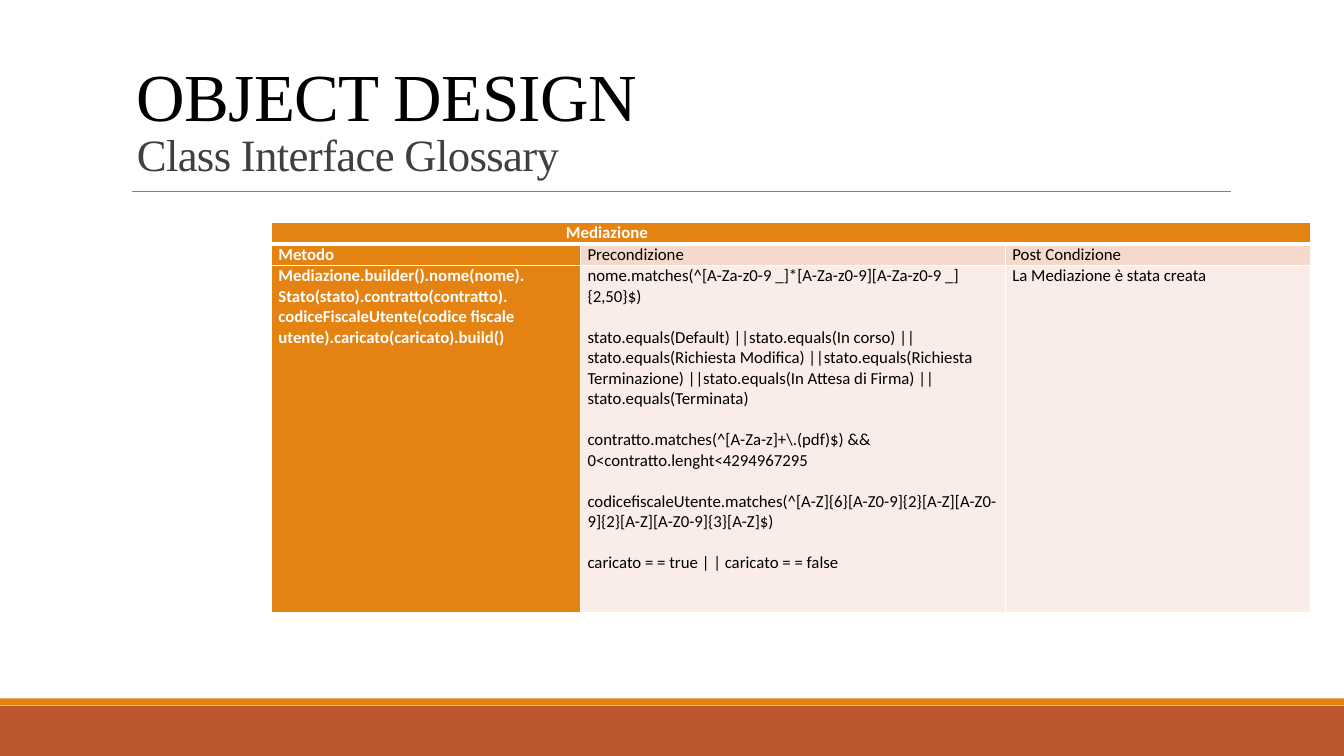
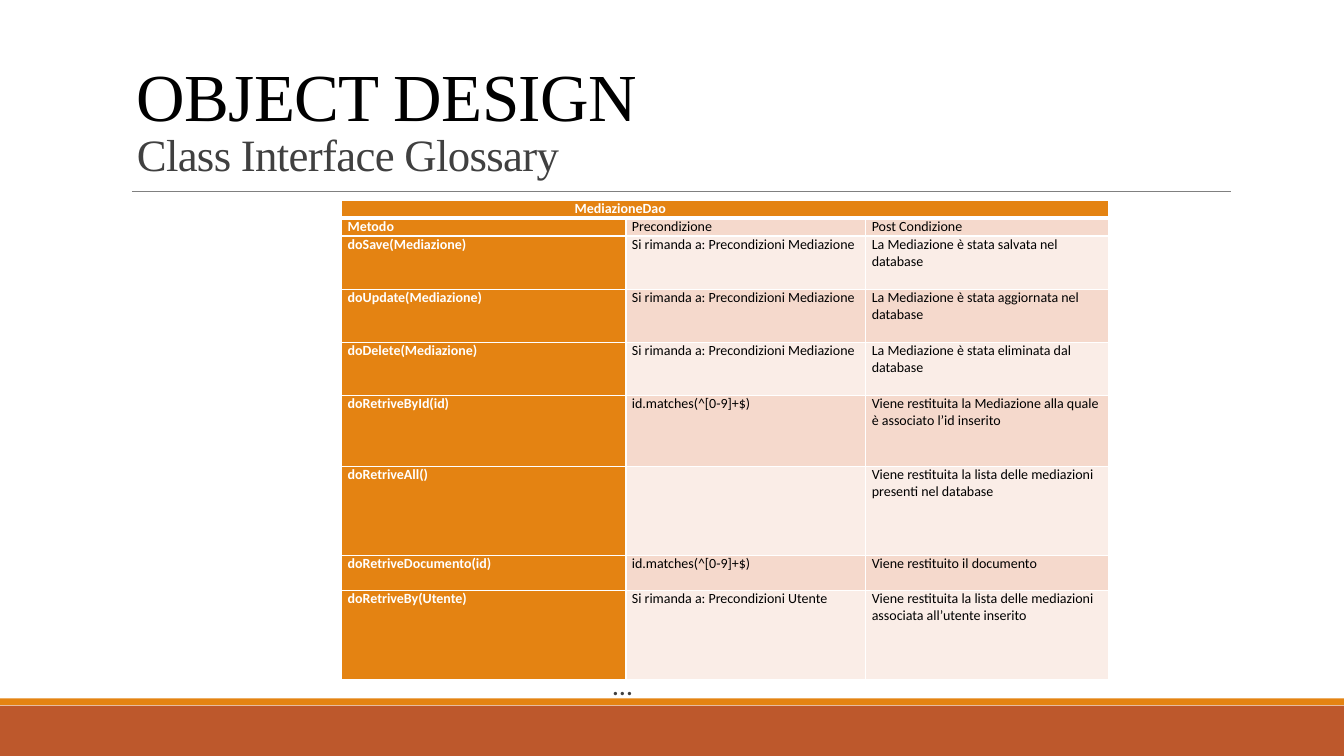
import pptx
import pptx.dml.color
import pptx.enum.shapes
import pptx.enum.text
import pptx.util
from lxml import etree
from pptx.oxml.ns import qn

Pt = pptx.util.Pt

WIDE, HIGH = 960, 540
WHITE, BLACK, DARK, GREY = "FFFFFF", "000000", "404040", "808080"
RUST, ORANGE = "BD582C", "E48312"
ROSE, PALE = "F5D9CC", "FAEDE7"
SANS, SERIF = "Calibri", "Times New Roman"


def paint(color):
    return pptx.dml.color.RGBColor.from_string(color)


def fill(item, color):
    item.fill.solid()
    item.fill.fore_color.rgb = paint(color)


def write(frame, text, size=12, color=BLACK, bold=False, font=SANS,
          lead=None, track=None, gap=0):
    """Add one paragraph a line; a blank line in text becomes a gap above."""
    for index, block in enumerate(text.split("\n\n")):
        for row, line in enumerate(block.split("\n")):
            para = frame.add_paragraph() if frame.text else frame.paragraphs[0]
            if index and not row:
                para.space_before = Pt(gap)
            if lead:
                para.line_spacing = lead
            run = para.add_run()
            run.text = line
            run.font.size = Pt(size)
            run.font.bold = bold
            run.font.name = font
            run.font.color.rgb = paint(color)
            if track:
                run._r.get_or_add_rPr().set("spc", str(int(track * 100)))


def edge(cell, top=1, base=1):
    """Give a cell white borders, with its own widths above and below."""
    props = cell._tc.get_or_add_tcPr()
    for side, width in (("L", 1), ("R", 1), ("T", top), ("B", base)):
        line = etree.SubElement(props, qn("a:ln" + side), w=str(Pt(width)))
        solid = etree.SubElement(line, qn("a:solidFill"))
        etree.SubElement(solid, qn("a:srgbClr"), val=WHITE)


class Deck:
    def __init__(self):
        self.file = pptx.Presentation()
        self.file.slide_width = Pt(WIDE)
        self.file.slide_height = Pt(HIGH)
        self.slide = None

    def start(self, title, topic):
        """Add a slide with the shared bands, rule and title."""
        self.slide = self.file.slides.add_slide(self.file.slide_layouts[6])
        self.band(504, 36, RUST)
        self.band(498.8, 4.8, ORANGE)
        self.rule(94.3, 879, 136.7)
        frame = self.box(90.7, 18, 792, 114.5)
        frame.vertical_anchor = pptx.enum.text.MSO_ANCHOR.BOTTOM
        style = dict(font=SERIF, lead=0.85, track=-0.5)
        write(frame, title, size=48, **style)
        write(frame, topic, size=32, color=DARK, **style)

    def band(self, top, height, color):
        kind = pptx.enum.shapes.MSO_SHAPE.RECTANGLE
        shape = self.slide.shapes.add_shape(
            kind, 0, Pt(top), Pt(WIDE), Pt(height))
        shape.shadow.inherit = False
        fill(shape, color)
        shape.line.fill.background()

    def rule(self, left, right, top):
        kind = pptx.enum.shapes.MSO_CONNECTOR.STRAIGHT
        line = self.slide.shapes.add_connector(
            kind, Pt(left), Pt(top), Pt(right), Pt(top))
        line.line.color.rgb = paint(GREY)
        line.line.width = Pt(0.5)
        etree.SubElement(line._element.spPr, qn("a:effectLst"))

    def box(self, left, top, width, height):
        shape = self.slide.shapes.add_textbox(
            Pt(left), Pt(top), Pt(width), Pt(height))
        shape.text_frame.word_wrap = True
        return shape.text_frame

    def note(self, text, left, top, width, height, **style):
        frame = self.box(left, top, width, height)
        frame.margin_left = frame.margin_right = 0
        frame.margin_top = frame.margin_bottom = 0
        write(frame, text, **style)

    def table(self, left, top, cols, highs, head, rows, size, pad, shift):
        """Draw a glossary table; shift is the indent of its heading."""
        grid = self.slide.shapes.add_table(
            len(highs), len(cols), Pt(left), Pt(top),
            Pt(sum(cols)), Pt(sum(highs))).table
        for col, width in zip(grid.columns, cols):
            col.width = Pt(width)
        for row, height in zip(grid.rows, highs):
            row.height = Pt(height)
        grid.cell(0, 0).merge(grid.cell(0, len(cols) - 1))
        names = ("Metodo", "Precondizione", "Post Condizione")
        for y, texts in enumerate([(head, "", ""), names, *rows]):
            for x, text in enumerate(texts):
                cell = grid.cell(y, x)
                strong = y == 0 or x == 0
                edge(cell, top=3 if y == 1 else 1, base=1 if y else 3)
                fill(cell, ORANGE if strong else ROSE if y % 2 else PALE)
                cell.margin_left = Pt(pad if y else shift)
                cell.margin_right = Pt(pad)
                cell.margin_top = cell.margin_bottom = 0
                if text:
                    write(cell.text_frame, text, size=size, bold=strong,
                          color=WHITE if strong else BLACK, gap=size * 1.22)


BUILD = (
    "Mediazione.builder().nome(nome). Stato(stato).contratto(contratto).\n"
    "codiceFiscaleUtente(codice fiscale utente).caricato(caricato).build()")
CHECKS = (
    "nome.matches(^[A-Za-z0-9 _]*[A-Za-z0-9][A-Za-z0-9 _]{2,50}$)\n\n"
    "stato.equals(Default) ||stato.equals(In corso) ||"
    "stato.equals(Richiesta Modifica) ||"
    "stato.equals(Richiesta Terminazione) ||"
    "stato.equals(In Attesa di Firma) || stato.equals(Terminata)\n\n"
    "contratto.matches(^[A-Za-z]+\\.(pdf)$) &&\n"
    "0<contratto.lenght<4294967295\n\n"
    "codicefiscaleUtente.matches(^[A-Z]{6}[A-Z0-9]{2}[A-Z][A-Z0-9]{2}"
    "[A-Z][A-Z0-9]{3}[A-Z]$)\n\n"
    "caricato = = true | | caricato = = false")
REFER = "Si rimanda a: Precondizioni "
DIGITS = "id.matches(^[0-9]+$)"
CALLS = [
    ("doSave(Mediazione)", REFER + "Mediazione",
     "La Mediazione è stata salvata nel database"),
    ("doUpdate(Mediazione)", REFER + "Mediazione",
     "La Mediazione è stata aggiornata nel database"),
    ("doDelete(Mediazione)", REFER + "Mediazione",
     "La Mediazione è stata eliminata dal database"),
    ("doRetriveById(id)", DIGITS,
     "Viene restituita la Mediazione alla quale è associato l’id inserito"),
    ("doRetriveAll()", "",
     "Viene restituita la lista delle mediazioni presenti nel database"),
    ("doRetriveDocumento(id)", DIGITS, "Viene restituito il documento"),
    ("doRetriveBy(Utente)", REFER + "Utente",
     "Viene restituita la lista delle mediazioni associata all’utente "
     "inserito"),
]


def main():
    deck = Deck()
    title = ("OBJECT DESIGN", "Class Interface Glossary")

    deck.start(*title)
    deck.table(194, 159.1, (220.8, 303.5, 90.5), (15.4, 15.4, 247.8),
               "Mediazione", [(BUILD, CHECKS, "La Mediazione è stata creata")],
               size=12, pad=4.9, shift=210.3)

    deck.start(*title)
    unit = 12.67
    highs = [unit * lines for lines in (1, 1, 3, 3, 3, 4, 5, 2, 5)]
    deck.table(244.1, 143.3, (203, 171.4, 97.6), highs,
               "MediazioneDao", CALLS, size=10, pad=4.3, shift=166.4)
    deck.note("…", 437.8, 476.5, 300, 25, size=20, color=DARK)

    deck.file.save("out.pptx")


if __name__ == "__main__":
    main()
